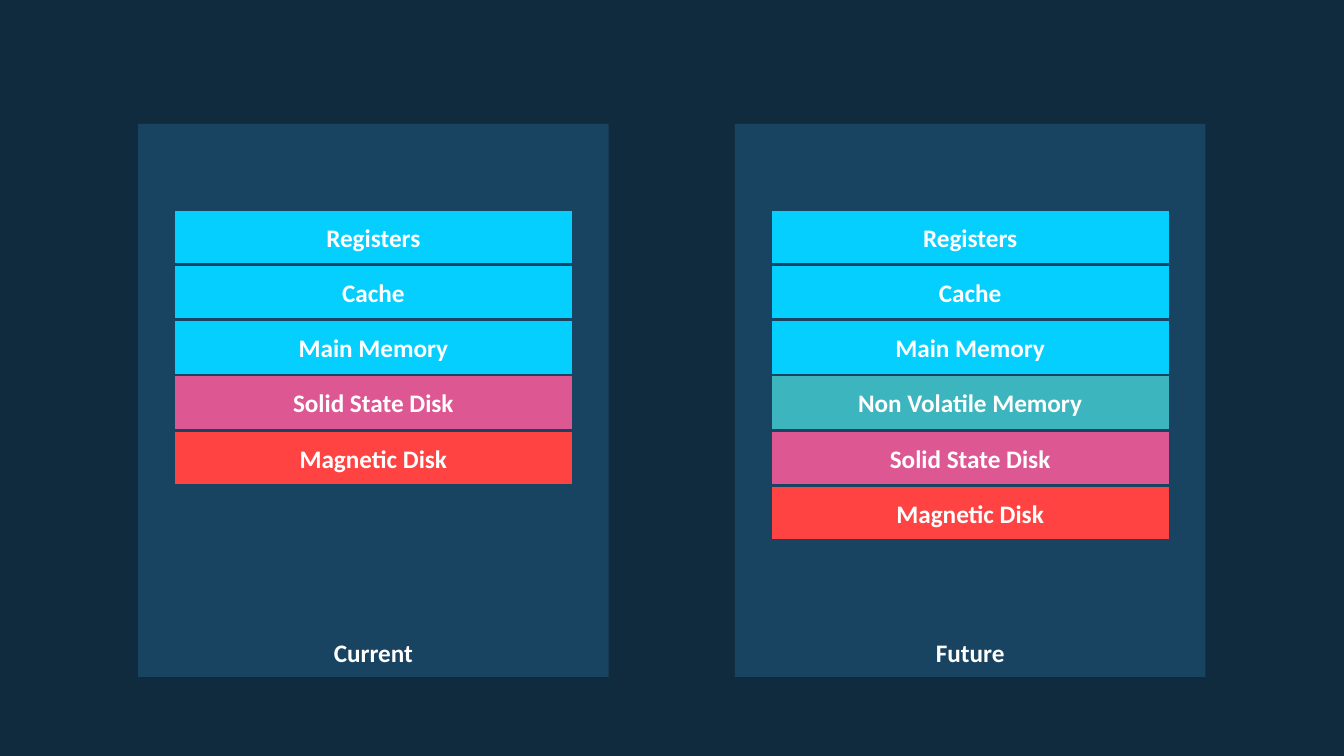
from pptx import Presentation
from pptx.dml.color import RGBColor
from pptx.enum.shapes import MSO_SHAPE
from pptx.enum.text import MSO_ANCHOR, PP_ALIGN
from pptx.util import Cm, Pt

RECTANGLE = MSO_SHAPE.RECTANGLE
ROUNDED = MSO_SHAPE.ROUNDED_RECTANGLE
MIDDLE = MSO_ANCHOR.MIDDLE
BOTTOM = MSO_ANCHOR.BOTTOM
CENTER = PP_ALIGN.CENTER

NAVY = RGBColor(0x10, 0x2B, 0x3E)
PANEL_BLUE = RGBColor(0x19, 0x44, 0x61)
CYAN = RGBColor(0x05, 0xCF, 0xFF)
TEAL = RGBColor(0x3D, 0xB5, 0xBE)
PINK = RGBColor(0xDD, 0x58, 0x93)
RED = RGBColor(0xFF, 0x43, 0x43)
WHITE = RGBColor(0xFF, 0xFF, 0xFF)

PANEL_TOP, PANEL_WIDTH, PANEL_HEIGHT = 3.12, 11.86, 13.94
LEVEL_INSET, LEVEL_TOP, LEVEL_HEIGHT, LEVEL_PITCH = 0.89, 5.28, 1.4, 1.39

VOLATILE_LEVELS = [("Registers", CYAN), ("Cache", CYAN), ("Main Memory", CYAN)]
DISK_LEVELS = [("Solid State Disk", PINK), ("Magnetic Disk", RED)]
HIERARCHIES = [
    ("Current", 3.48, VOLATILE_LEVELS + DISK_LEVELS),
    ("Future", 18.52, VOLATILE_LEVELS + [("Non Volatile Memory", TEAL)] + DISK_LEVELS),
]


class MemorySlide:
    font_format = {"name": "Calibri", "size": Pt(18), "bold": True}

    def __init__(self, presentation):
        self.slide = presentation.slides.add_slide(presentation.slide_layouts[6])
        background = self.slide.background.fill
        background.solid()
        background.fore_color.rgb = NAVY

    def block(self, group, kind, box, text, color, frame_format):
        shape = group.shapes.add_shape(kind, *(Cm(length) for length in box))
        shape.shadow.inherit = False
        shape.fill.solid()
        shape.fill.fore_color.rgb = color
        frame = shape.text_frame
        for name, value in frame_format.items():
            setattr(frame, name, value)
        paragraph = frame.paragraphs[0]
        paragraph.text = text
        paragraph.alignment = CENTER
        for name, value in self.font_format.items():
            setattr(paragraph.font, name, value)
        paragraph.font.color.rgb = WHITE
        return shape

    def panel(self, group, left, caption):
        box = (left, PANEL_TOP, PANEL_WIDTH, PANEL_HEIGHT)
        frame_format = {"vertical_anchor": BOTTOM, "margin_bottom": Cm(0.23), "word_wrap": True}
        shape = self.block(group, RECTANGLE, box, caption, PANEL_BLUE, frame_format)
        shape.line.fill.background()

    def level(self, group, left, index, label, color):
        box = (left + LEVEL_INSET, LEVEL_TOP + index * LEVEL_PITCH,
               PANEL_WIDTH - 2 * LEVEL_INSET, LEVEL_HEIGHT)
        frame_format = {"vertical_anchor": MIDDLE, "word_wrap": True}
        shape = self.block(group, ROUNDED, box, label, color, frame_format)
        shape.adjustments[0] = 0
        shape.line.color.rgb = PANEL_BLUE
        shape.line.width = Pt(2)

    def hierarchy(self, caption, left, levels):
        group = self.slide.shapes.add_group_shape()
        self.panel(group, left, caption)
        for index, (label, color) in enumerate(levels):
            self.level(group, left, index, label, color)


def main():
    presentation = Presentation()
    presentation.slide_width = Cm(33.87)
    presentation.slide_height = Cm(19.05)
    memory_slide = MemorySlide(presentation)
    for caption, left, levels in HIERARCHIES:
        memory_slide.hierarchy(caption, left, levels)
    presentation.save("out.pptx")


if __name__ == "__main__":
    main()
